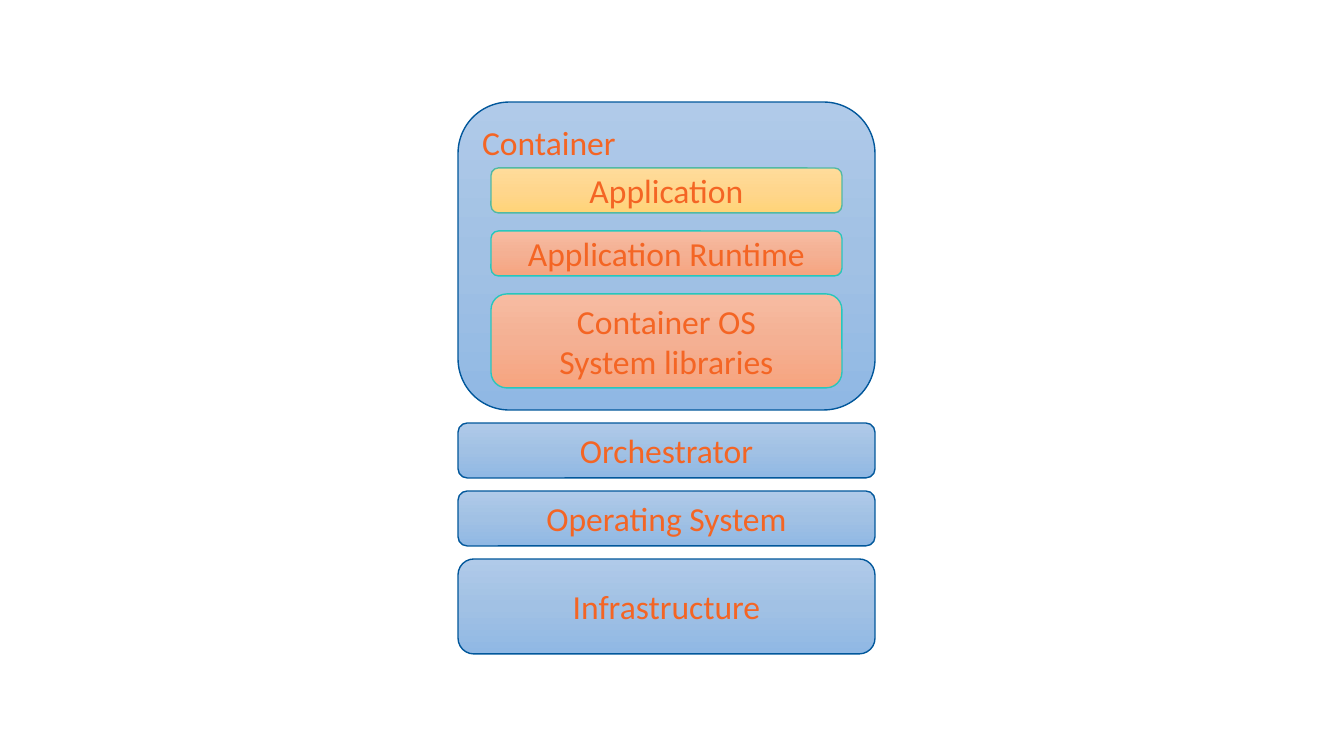
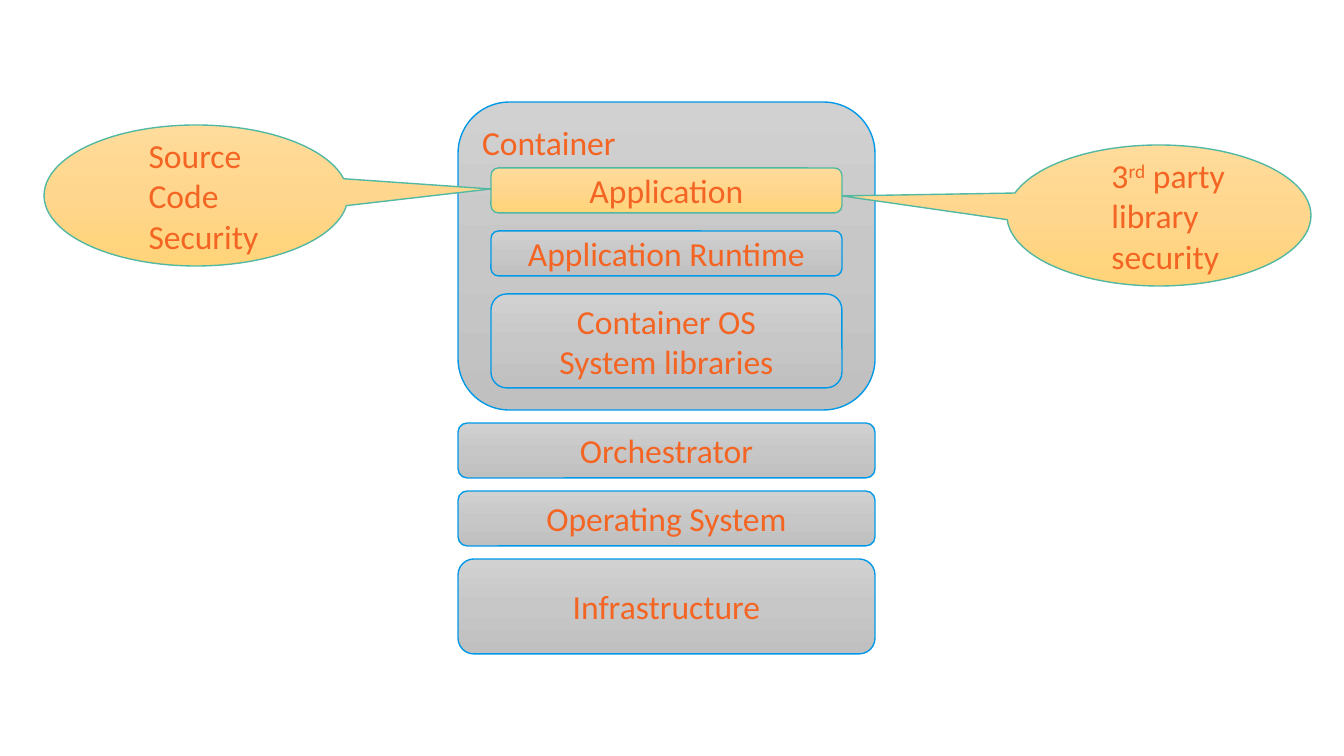
from collections import namedtuple
from copy import deepcopy
from dataclasses import dataclass

from pptx import Presentation
from pptx.dml.color import RGBColor
from pptx.enum.shapes import MSO_SHAPE
from pptx.enum.text import MSO_ANCHOR, PP_ALIGN
from pptx.util import Pt

SLIDE_WIDTH, SLIDE_HEIGHT = 1344, 756
EMU_PER_PX = 9144000 / SLIDE_WIDTH

Box = namedtuple("Box", "left top width height")
Paint = namedtuple("Paint", "gradient line")
Palette = namedtuple("Palette", "platform runtime application")


@dataclass(frozen=True)
class Theme:
    font: str = "Calibri"
    text_size: int = 18
    text_color: str = "F46524"
    line_width: float = 0.75
    inset_x: int = 9
    inset_y: int = 5
    callout_indent: int = 51
    blue: Paint = Paint(("B0CAE9", "A1C1E4", "90B8E4"), "01579B")
    gray: Paint = Paint(("D1D1D1", "C7C7C7", "C0C0C0"), "0099E8")
    salmon: Paint = Paint(("F7BCA2", "F4B093", "F7A47F"), "27C7BD")
    yellow: Paint = Paint(("FFDC9B", "FFD68D", "FFD478"), "51B9A3")


THEME = Theme()
STACK = Box(458, 102, 417, 552)
LAYER_GAP = 13
CONTAINER_HEIGHT = 308
PLATFORM_LAYERS = [("Orchestrator", 55), ("Operating System", 55), ("Infrastructure", 95)]

CONTENT_INSET_X, CONTENT_TOP, CONTENT_GAP = 33, 66, 18
CONTENT_LAYERS = [
    (["Application"], 45, "application"),
    (["Application Runtime"], 45, "runtime"),
    (["Container OS", "System libraries"], 94, "runtime"),
]


def px(length):
    return round(length * EMU_PER_PX)


def paint_shape(shape, paint):
    """Fill with a three-stop vertical gradient and outline the shape."""
    shape.shadow.inherit = False
    shape.fill.gradient()
    shape.fill.gradient_angle = 270
    stop_list = shape.element.spPr.gradFill.gsLst
    middle = deepcopy(stop_list[0])
    middle.set("pos", "50000")
    stop_list.insert(1, middle)
    for stop, color in zip(shape.fill.gradient_stops, paint.gradient):
        stop.color.rgb = RGBColor.from_string(color)
    shape.line.color.rgb = RGBColor.from_string(paint.line)
    shape.line.width = Pt(THEME.line_width)


def add_run(paragraph, text, superscript=False):
    run = paragraph.add_run()
    run.text = text
    run.font.name = THEME.font
    run.font.size = Pt(THEME.text_size)
    run.font.color.rgb = RGBColor.from_string(THEME.text_color)
    if superscript:
        run.font._element.set("baseline", "30000")


def add_block(slide, kind, box, paint, lines, align=PP_ALIGN.CENTER,
              anchor=MSO_ANCHOR.MIDDLE, indent=0):
    """Add a painted shape; each line is a list of (text, superscript) runs."""
    shape = slide.shapes.add_shape(kind, *map(px, box))
    paint_shape(shape, paint)
    frame = shape.text_frame
    frame.word_wrap = True
    frame.vertical_anchor = anchor
    frame.margin_left = frame.margin_right = px(THEME.inset_x)
    frame.margin_top = frame.margin_bottom = px(THEME.inset_y)
    for index, runs in enumerate(lines):
        paragraph = frame.add_paragraph() if index else frame.paragraphs[0]
        paragraph.alignment = align
        if indent:
            paragraph.level = 1
            properties = paragraph._p.get_or_add_pPr()
            properties.set("marL", str(px(indent)))
            properties.set("indent", "0")
        for text, superscript in runs:
            add_run(paragraph, text, superscript)
    return shape


def add_layer(slide, box, paint, texts, **text_style):
    lines = [[(text, False)] for text in texts]
    return add_block(slide, MSO_SHAPE.ROUNDED_RECTANGLE, box, paint, lines, **text_style)


def stack_boxes(area, heights, gap):
    """Return boxes of the given heights, stacked from the top of the area."""
    boxes, top = [], area.top
    for height in heights:
        boxes.append(Box(area.left, top, area.width, height))
        top += height + gap
    return boxes


def add_container(slide, box, palette):
    """Draw the container and its content; return the application's box."""
    add_layer(slide, box, palette.platform, ["Container"],
              align=PP_ALIGN.LEFT, anchor=MSO_ANCHOR.TOP)
    content = Box(box.left + CONTENT_INSET_X, box.top + CONTENT_TOP,
                  box.width - 2 * CONTENT_INSET_X, box.height - CONTENT_TOP)
    boxes = stack_boxes(content, [height for _, height, _ in CONTENT_LAYERS], CONTENT_GAP)
    for layer_box, (texts, _, role) in reversed(list(zip(boxes, CONTENT_LAYERS))):
        add_layer(slide, layer_box, getattr(palette, role), texts)
    return boxes[0]


def add_stack(slide, box, palette):
    """Draw the whole stack from the bottom up; return the application's box."""
    heights = [CONTAINER_HEIGHT] + [height for _, height in PLATFORM_LAYERS]
    container, *platform = stack_boxes(box, heights, LAYER_GAP)
    for layer_box, (text, _) in reversed(list(zip(platform, PLATFORM_LAYERS))):
        add_layer(slide, layer_box, palette.platform, [text])
    return add_container(slide, container, palette)


def add_callout(slide, box, tip, lines):
    """Add an elliptical callout whose pointer ends at tip (x, y)."""
    shape = add_block(slide, MSO_SHAPE.OVAL_CALLOUT, box, THEME.yellow, lines,
                      align=PP_ALIGN.LEFT, indent=THEME.callout_indent)
    shape.adjustments[0] = (tip[0] - box.left - box.width / 2) / box.width
    shape.adjustments[1] = (tip[1] - box.top - box.height / 2) / box.height


def add_stack_slide(presentation, palette):
    slide = presentation.slides.add_slide(presentation.slide_layouts[6])
    return slide, add_stack(slide, STACK, palette)


def add_application_security_slide(presentation):
    palette = Palette(THEME.gray, THEME.gray, THEME.yellow)
    slide, application = add_stack_slide(presentation, palette)
    add_callout(slide, Box(44, 125, 304, 141),
                (application.left, application.top + 21),
                [[("Source Code", False)], [("Security", False)]])
    add_callout(slide, Box(1007, 145, 304, 141),
                (application.left + application.width, application.top + 28),
                [[("3", False), ("rd", True), (" party library security", False)]])


def main():
    presentation = Presentation()
    presentation.slide_width = px(SLIDE_WIDTH)
    presentation.slide_height = px(SLIDE_HEIGHT)
    add_stack_slide(presentation, Palette(THEME.blue, THEME.salmon, THEME.yellow))
    add_application_security_slide(presentation)
    presentation.save("out.pptx")


if __name__ == "__main__":
    main()
